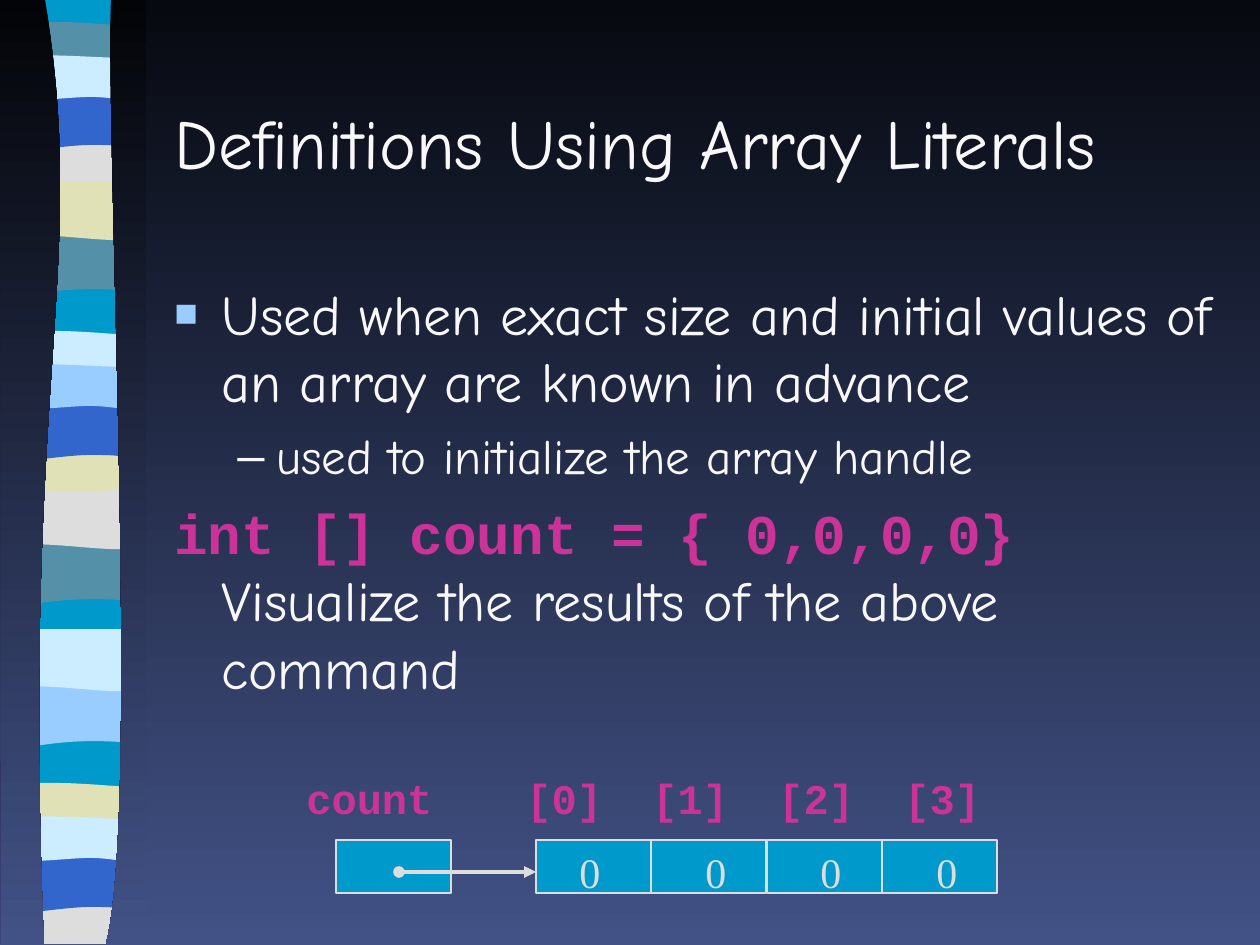
import pptx
import pptx.dml.color
import pptx.enum.shapes
import pptx.enum.text
import pptx.oxml.ns
import pptx.util
from lxml import etree

RGBColor = pptx.dml.color.RGBColor
PX = 914400 / 126

NIGHT = RGBColor(0x07, 0x09, 0x10)
BLACK = RGBColor(0x03, 0x04, 0x07)
DUSK = RGBColor(0x42, 0x52, 0x86)
CYAN = RGBColor(0x00, 0x99, 0xCC)
TEAL = RGBColor(0x54, 0x90, 0xA8)
SAND = RGBColor(0xE1, 0xE1, 0xB7)
GREY = RGBColor(0xDD, 0xDD, 0xDD)
BLUE = RGBColor(0x33, 0x66, 0xCC)
ICE = RGBColor(0xCC, 0xEC, 0xFF)
SKY = RGBColor(0x99, 0xCC, 0xFF)
WHITE = RGBColor(0xF8, 0xF8, 0xF8)
PINK = RGBColor(0xCC, 0x33, 0x99)

HAND, CODE, SERIF = "Comic Neue", "Courier New", "Times New Roman"

# Outlines in px: a pair is a corner, a group of six is a cubic curve.
SWELL = [(136, 0), (136, 59), (42, 49, 23, 69, 0, 59), (0, 0)]
DIP = [(136, 0), (136, 59), (113, 69, 42, 52, 0, 59), (0, 0)]
ARCH = [(136, 6), (136, 37), (113, 42, 23, 42, 0, 37), (0, 6),
        (8, 0, 29, 1, 52, 1), (74, 1, 118, 5, 136, 6)]
BASIN = [(136, 0), (136, 41), (113, 48, 23, 48, 0, 41), (0, 0),
         (83, 6, 107, 0, 136, 0)]
HUMP = [(136, 0), (136, 59), (115, 52, 106, 52, 83, 52),
        (60, 52, 20, 59, 0, 59), (0, 0)]
BULGE = [(136, 6), (136, 45), (127, 52, 106, 45, 83, 45),
         (60, 45, 14, 52, 0, 45), (0, 6), (19, 0, 92, 6, 115, 6),
         (138, 6, 132, 6, 136, 6)]
FOOT = [(136, 0), (136, 47), (1, 47), (0, 0), (83, 6, 107, 0, 136, 0)]
RIBBON = [(136, 0), (136, 943), (0, 943), (0, 0)]
LEFT_EDGE = [(45, 0), (89, 273, 21, 374, 44, 945), (1, 945), (0, 0)]
RIGHT_EDGE = [(111, 0), (106, 159, 140, 815, 106, 945), (146, 945), (146, 1)]

BANDS = [  # left, top, outline, colour
    (8, -1, RIBBON, CYAN),
    (8, 233, SWELL, TEAL), (8, 178, DIP, SAND), (8, 21, ARCH, TEAL),
    (8, 136, BASIN, GREY), (8, 93, HUMP, BLUE), (8, 52, BULGE, ICE),
    (7, 543, SWELL, TEAL), (7, 487, DIP, GREY), (7, 330, ARCH, ICE),
    (7, 445, BASIN, SAND), (7, 403, HUMP, BLUE), (7, 361, BULGE, SKY),
    (8, 685, SWELL, SKY), (8, 629, DIP, ICE), (7, 782, ARCH, SAND),
    (7, 897, FOOT, GREY), (7, 855, HUMP, BLUE), (7, 813, BULGE, ICE),
]


def px(length):
    return round(length * PX)


def child(parent, tag, **attributes):
    return etree.SubElement(parent, pptx.oxml.ns.qn(tag), attributes)


def gradient(fill, top, bottom):
    fill.gradient()
    fill.gradient_angle = 270
    for stop, colour in zip(fill.gradient_stops, (top, bottom)):
        stop.color.rgb = colour


def add_outline(page, left, top, outline):
    """Draw a closed outline, then merge each curve's three points into one curve."""
    points = [(px(left + part[i]), px(top + part[i + 1]))
              for part in outline for i in range(0, len(part), 2)]
    builder = page.shapes.build_freeform(*points[0])
    builder.add_line_segments(points[1:], close=True)
    shape = builder.convert_to_shape()
    shape.shadow.inherit = False
    shape.line.fill.background()

    lines = iter(shape._element.findall(".//" + pptx.oxml.ns.qn("a:lnTo")))
    for part in outline[1:]:
        line = next(lines)
        if len(part) == 6:
            line.tag = pptx.oxml.ns.qn("a:cubicBezTo")
            for extra in (next(lines), next(lines)):
                line.append(extra[0])
                extra.getparent().remove(extra)
    return shape


def add_ribbon(page, left, top):
    for x, y, outline, colour in BANDS:
        band = add_outline(page, left + x, top + y, outline)
        band.fill.solid()
        band.fill.fore_color.rgb = colour
    for outline in (LEFT_EDGE, RIGHT_EDGE):
        gradient(add_outline(page, left, top - 1, outline).fill, BLACK, DUSK)


def add_box(page, left, top, width, height):
    box = page.shapes.add_textbox(px(left), px(top), px(width), px(height))
    box.text_frame.word_wrap = True
    return box


def add_text(para, text, font=HAND, size=32, colour=WHITE, bold=False):
    span = para.add_run()
    span.text = text
    span.font.name = font
    span.font.size = pptx.util.Pt(size)
    span.font.color.rgb = colour
    span.font.bold = bold


def indent(para, margin, hang, before, bullet=None, colour=WHITE, percent=100):
    para.space_before = pptx.util.Pt(before)
    props = para._p.get_or_add_pPr()
    props.set("marL", str(px(margin)))
    props.set("indent", str(px(-hang)))
    if bullet:
        child(child(props, "a:buClr"), "a:srgbClr", val=str(colour))
        child(props, "a:buSzPct", val=str(percent * 1000))
        child(props, "a:buFont", typeface="Arial")
        child(props, "a:buChar", char=bullet)
    else:
        child(props, "a:buNone")


def add_title(page, left, top, width, height):
    box = add_box(page, left, top, width, height)
    box.text_frame.vertical_anchor = pptx.enum.text.MSO_ANCHOR.MIDDLE
    add_text(box.text_frame.paragraphs[0], "Definitions Using Array Literals", size=40)


def add_body(page, left, top, width, height):
    frame = add_box(page, left, top, width, height).text_frame
    point, detail, code = frame.paragraphs[0], frame.add_paragraph(), frame.add_paragraph()
    indent(point, 47, 47, 8, "■", SKY, 70)
    add_text(point, "Used when exact size and initial values of an array are known in advance")
    indent(detail, 102, 39, 7, "–")
    add_text(detail, "used to initialize the array handle", size=28)
    indent(code, 47, 47, 8)
    add_text(code, "int [] count = { 0,0,0,0}", font=CODE, colour=PINK, bold=True)
    code.add_line_break()
    add_text(code, "Visualize the results of the above command")


def add_row(page, left, top, width, words, stops=(), **style):
    """One line of words, each after the first set at a tab stop."""
    para = add_box(page, left, top, width, 63).text_frame.paragraphs[0]
    para.space_before = pptx.util.Pt(15)
    if stops:
        tabs = child(para._p.get_or_add_pPr(), "a:tabLst")
        for stop in stops:
            child(tabs, "a:tab", pos=str(px(stop)), algn="l")
    add_text(para, "\t".join(words), size=24, **style)


def add_cell(page, left, top, width=115, height=53):
    cell = page.shapes.add_shape(pptx.enum.shapes.MSO_SHAPE.RECTANGLE,
                                 px(left), px(top), px(width), px(height))
    cell.shadow.inherit = False
    cell.fill.solid()
    cell.fill.fore_color.rgb = CYAN
    cell.line.color.rgb = GREY
    cell.line.width = pptx.util.Pt(0.75)


def add_arrow(page, left, right, y):
    arrow = page.shapes.add_connector(pptx.enum.shapes.MSO_CONNECTOR.STRAIGHT,
                                      px(left), px(y), px(right), px(y))
    arrow.line.color.rgb = GREY
    arrow.line.width = pptx.util.Pt(2.25)
    line = arrow.line._get_or_add_ln()
    child(line, "a:headEnd", type="oval")
    child(line, "a:tailEnd", type="triangle")
    child(arrow._element.spPr, "a:effectLst")


def add_array(page, left, top):
    """Handle, arrow and four indexed cells."""
    cell_top = top + 74
    for x in [42] + [242 + 231 * i // 2 for i in range(4)]:
        add_cell(page, left + x, cell_top)
    label = dict(font=CODE, colour=PINK, bold=True)
    add_row(page, left, top, 242, ["count"], **label)
    add_row(page, left + 220, top, 536, [f"[{i}]" for i in range(4)],
            [126, 252, 378], **label)
    add_arrow(page, left + 105, left + 242, cell_top + 32)
    add_row(page, left + 273, cell_top, 451, ["0"] * 4, [126, 241, 357],
            font=SERIF, colour=GREY)


def main():
    deck = pptx.Presentation()
    deck.slide_width, deck.slide_height = px(1260), px(945)
    page = deck.slides.add_slide(deck.slide_layouts[6])
    gradient(page.background.fill, NIGHT, DUSK)
    add_ribbon(page, 0, 0)
    add_title(page, 162, 63, 1071, 157)
    add_body(page, 162, 273, 1071, 672)
    add_array(page, 294, 766)
    deck.save("out.pptx")


if __name__ == "__main__":
    main()
